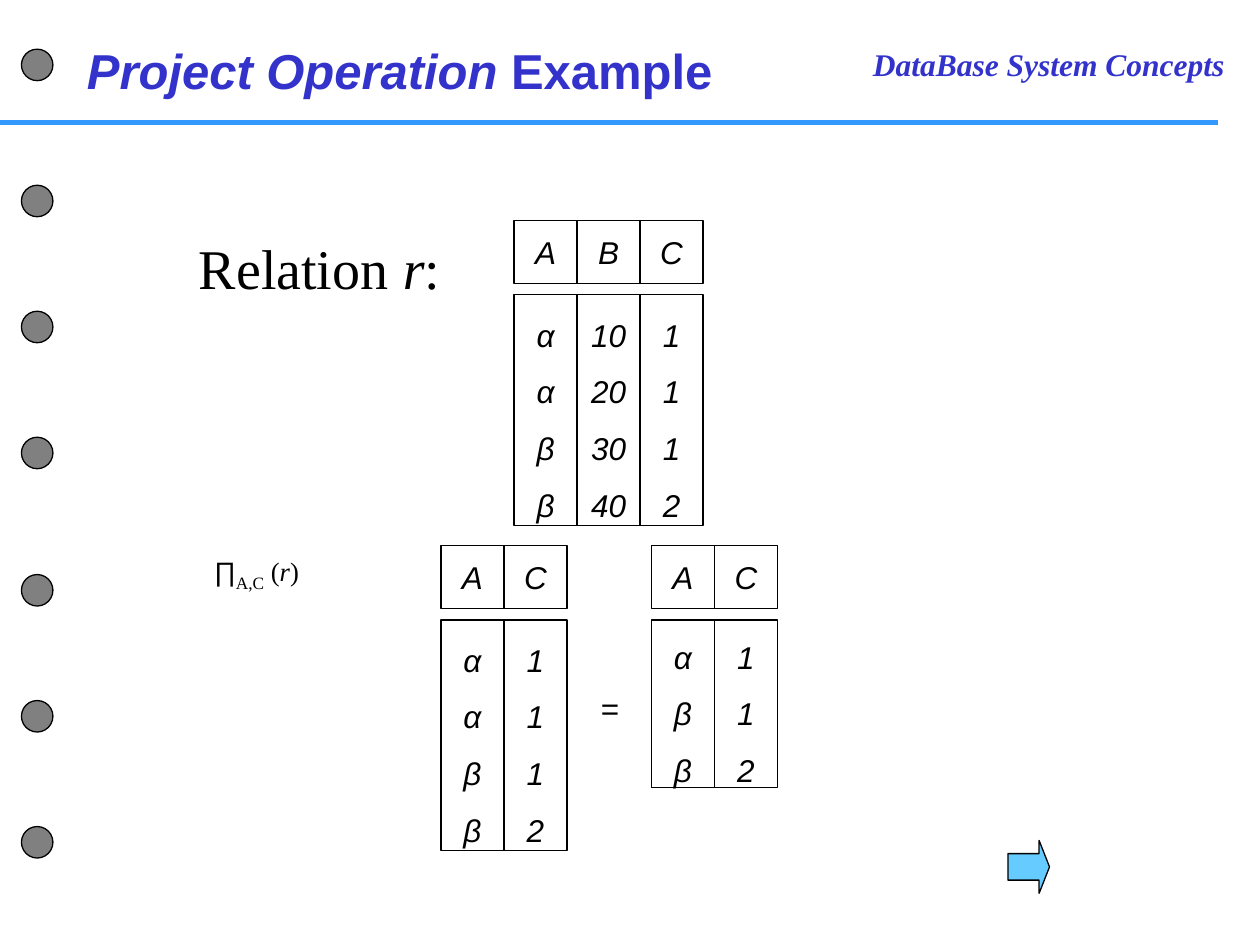
from dataclasses import dataclass

from lxml import etree
from pptx import Presentation
from pptx.dml.color import RGBColor
from pptx.enum.shapes import MSO_CONNECTOR, MSO_SHAPE
from pptx.enum.text import MSO_ANCHOR, MSO_AUTO_SIZE, PP_ALIGN
from pptx.oxml.ns import qn
from pptx.util import Inches, Pt

BLACK = RGBColor(0x00, 0x00, 0x00)
WHITE = RGBColor(0xFF, 0xFF, 0xFF)
GRAY = RGBColor(0x80, 0x80, 0x80)
INDIGO = RGBColor(0x33, 0x33, 0xCC)
RULE_BLUE = RGBColor(0x33, 0x99, 0xFF)
ARROW_BLUE = RGBColor(0x66, 0xCC, 0xFF)

STRAIGHT = MSO_CONNECTOR.STRAIGHT
OVAL, RECT, ARROW = MSO_SHAPE.OVAL, MSO_SHAPE.RECTANGLE, MSO_SHAPE.RIGHT_ARROW
TOP, MIDDLE = MSO_ANCHOR.TOP, MSO_ANCHOR.MIDDLE
LEFT, CENTER = PP_ALIGN.LEFT, PP_ALIGN.CENTER
GROW, FIXED = MSO_AUTO_SIZE.SHAPE_TO_FIT_TEXT, MSO_AUTO_SIZE.NONE

ARIAL = "Arial"
TIMES = "Times New Roman"
CELL = 0.5
BODY_OFFSET = 0.59
HOLE_SIZE = 0.25
HOLE_TOPS = (0.39, 1.47, 2.47, 3.47, 4.56, 5.56, 6.56)


@dataclass
class Relation:
    left: float
    top: float
    body_height: float
    columns: dict[str, list[str]]


@dataclass
class Run:
    text: str
    size: float
    font: str = TIMES
    color: RGBColor = BLACK
    bold: bool = False
    italic: bool = False
    baseline: int = 0


RELATIONS = (
    Relation(4.08, 1.75, 1.83, {
        "A": ["α", "α", "β", "β"],
        "B": ["10", "20", "30", "40"],
        "C": ["1", "1", "1", "2"],
    }),
    Relation(3.5, 4.33, 1.83, {
        "A": ["α", "α", "β", "β"],
        "C": ["1", "1", "1", "2"],
    }),
    Relation(5.17, 4.33, 1.33, {
        "A": ["α", "β", "β"],
        "C": ["1", "1", "2"],
    }),
)


def add_run(p, run: Run) -> None:
    r = p.add_run()
    r.text = run.text
    formats = {"size": Pt(run.size), "name": run.font,
               "bold": run.bold, "italic": run.italic}
    for name, value in formats.items():
        setattr(r.font, name, value)
    r.font.color.rgb = run.color
    if run.baseline:
        r.font._element.set("baseline", str(run.baseline * 1000))


def write(sp, lines: list[list[Run]], align=LEFT, anchor=TOP, wrap=True,
          auto_size=FIXED, line_spacing=1.0) -> None:
    tf = sp.text_frame
    formats = {"word_wrap": wrap, "auto_size": auto_size,
               "vertical_anchor": anchor}
    for name, value in formats.items():
        setattr(tf, name, value)
    for i, runs in enumerate(lines):
        p = tf.add_paragraph() if i else tf.paragraphs[0]
        p.alignment = align
        p.line_spacing = line_spacing
        for run in runs:
            add_run(p, run)


def add_box(s, kind, left: float, top: float, width: float, height: float,
            fill: RGBColor):
    sp = s.shapes.add_shape(kind, Inches(left), Inches(top),
                            Inches(width), Inches(height))
    sp.shadow.inherit = False
    sp.fill.solid()
    sp.fill.fore_color.rgb = fill
    sp.line.color.rgb = BLACK
    sp.line.width = Pt(0.75)
    return sp


def add_text(s, left: float, top: float, width: float, height: float,
             runs: list[Run], **formats) -> None:
    sp = s.shapes.add_textbox(Inches(left), Inches(top),
                              Inches(width), Inches(height))
    write(sp, [runs], **formats)


def add_relation(s, rel: Relation) -> None:
    """Draw the header cells, then one tall cell of values per attribute."""
    for i, (name, values) in enumerate(rel.columns.items()):
        left = rel.left + i * CELL
        parts = ((rel.top, CELL, [name], 1.0),
                 (rel.top + BODY_OFFSET, rel.body_height, values, 1.5))
        for top, height, texts, spacing in parts:
            sp = add_box(s, RECT, left, top, CELL, height, WHITE)
            lines = [[Run(text, 18, ARIAL, italic=True)] for text in texts]
            write(sp, lines, CENTER, MIDDLE, wrap=False, line_spacing=spacing)


def add_rule(s) -> None:
    line = s.shapes.add_connector(STRAIGHT, 0, Inches(0.97),
                                  Inches(9.67), Inches(0.97))
    line.line.color.rgb = RULE_BLUE
    line.line.width = Pt(3)
    etree.SubElement(line._element.spPr, qn("a:effectLst"))


def add_title(s) -> None:
    title = s.shapes.title
    box = {"left": 0.59, "top": 0.27, "width": 5.5, "height": 0.57}
    for name, value in box.items():
        setattr(title, name, Inches(value))
    write(title, [[
        Run("Project Operation ", 28, ARIAL, INDIGO, bold=True, italic=True),
        Run("Example", 28, ARIAL, INDIGO, bold=True),
    ]])


def main() -> None:
    prs = Presentation()
    prs.slide_width, prs.slide_height = Inches(10), Inches(7.5)
    s = prs.slides.add_slide(prs.slide_layouts[5])

    add_rule(s)
    for top in HOLE_TOPS:
        add_box(s, OVAL, 0.17, top, HOLE_SIZE, HOLE_SIZE, GRAY)
    add_text(s, 6.83, 0.31, 3.17, 0.4,
             [Run("DataBase System Concepts", 18, TIMES, INDIGO,
                  bold=True, italic=True)], auto_size=GROW)
    add_title(s)

    add_text(s, 1.48, 1.8, 7.69, 0.45, [
        Run("Relation", 32), Run(" r", 32, italic=True), Run(":", 32)])
    for rel in RELATIONS:
        add_relation(s, rel)
    add_text(s, 4.67, 5.42, 0.34, 0.4, [Run("=", 18, ARIAL)], align=CENTER,
             anchor=MIDDLE, wrap=False, auto_size=GROW)
    add_text(s, 1.6, 4.36, 1.82, 0.45, [
        Run("∏", 15.2, ARIAL), Run("A,C", 17.1, baseline=-25),
        Run(" (", 15.2), Run("r", 15.2, italic=True), Run(")", 15.2),
    ], line_spacing=0.8)

    arrow = add_box(s, ARROW, 8, 6.67, 0.33, 0.42, ARROW_BLUE)
    arrow.adjustments[0] = 0.5
    arrow.adjustments[1] = 0.25
    prs.save("out.pptx")


if __name__ == "__main__":
    main()
